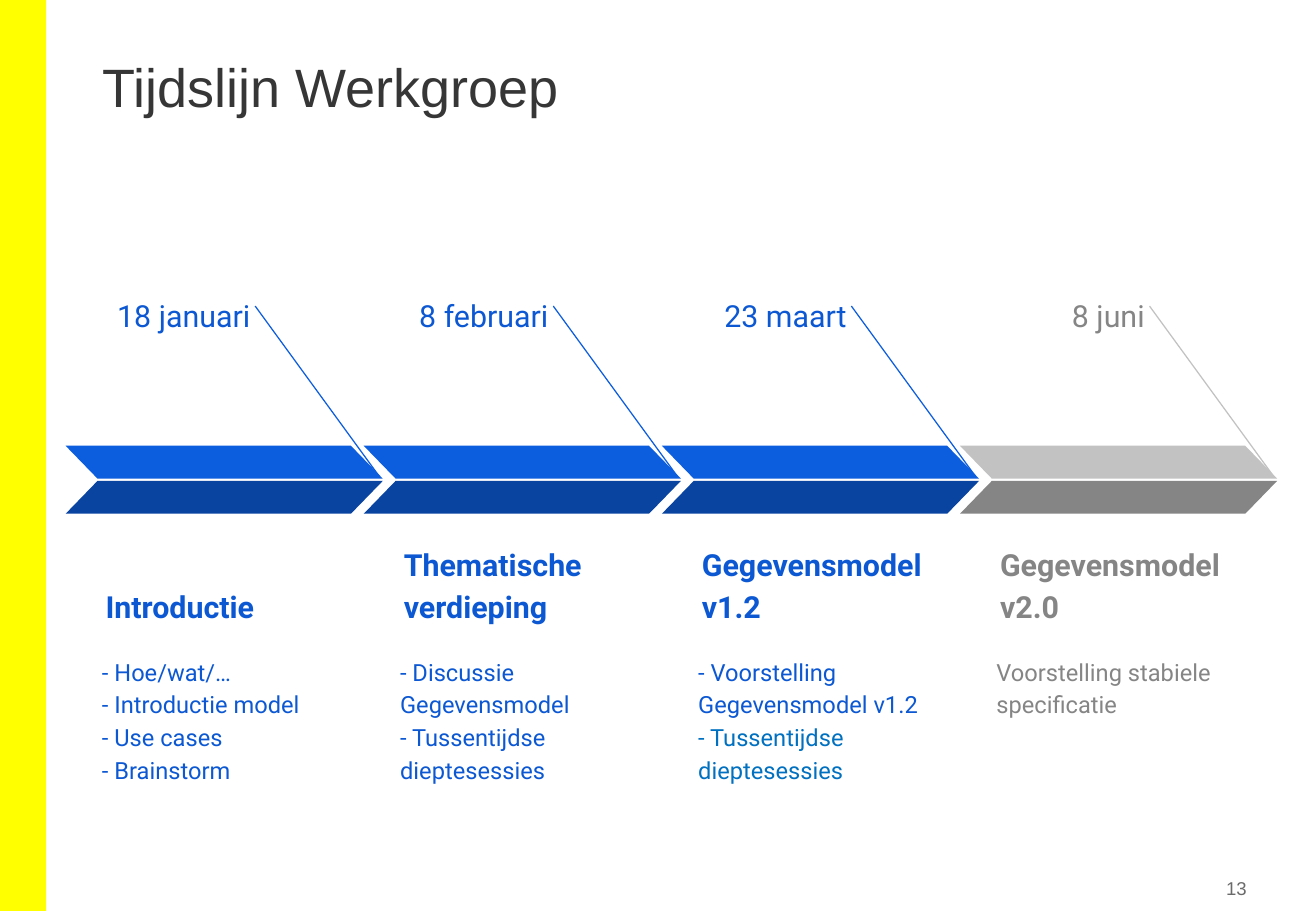
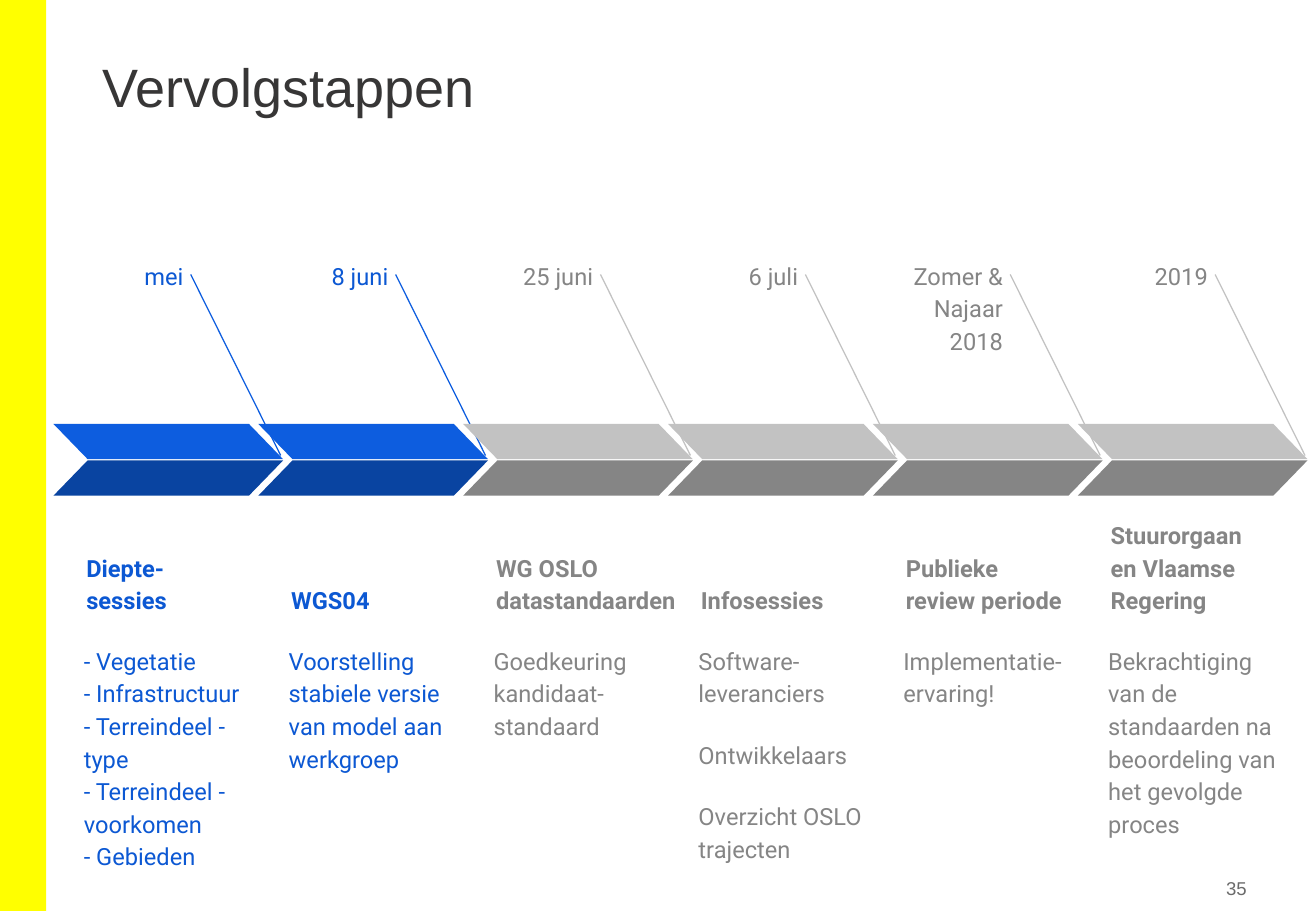
import pptx
import pptx.dml.color
import pptx.enum.shapes
import pptx.enum.text
import pptx.oxml.ns
import pptx.util
from lxml import etree

SHAPES = pptx.enum.shapes.MSO_SHAPE
ALIGN = pptx.enum.text.PP_ALIGN
ANCHOR = pptx.enum.text.MSO_ANCHOR
inches = pptx.util.Inches

WIDTH, HEIGHT = 10.83, 7.5
BLUE = {"text": "0C58D3", "upper": "0D5DDF", "lower": "0944A1"}
GRAY = {"text": "858585", "upper": "C2C2C2", "lower": "858585"}
STEP_TEXT = {"font": "Roboto", "inset": 0.11, "spacing": 1.15}
TITLE_TEXT = {"font": "Arial", "size": 32, "color": "373636", "inset": 0.1, "spacing": 0.9}
NUMBER_TEXT = {"font": "Arial", "size": 11, "color": "6B6B6B", "inset": 0.05,
               "align": ALIGN.RIGHT, "anchor": ANCHOR.MIDDLE}

SLIDES = [
    {
        "title": "Tijdslijn Werkgroep", "number": "13",
        "first": 0.54, "last": 7.9, "arrow_width": 2.61, "arrow_height": 0.27,
        "upper_top": 3.67, "lower_top": 3.96,
        "date": (0.18, 2.29, 1.45, 0.46),
        "heading": (0.22, 4.41, 2.14, 0.84),
        "body": (0.19, 5.27, 2.2, 1.39),
        "pointer": (1.56, 2.52, 2.58, 3.92),
        "large": 18,
        "steps": [
            {"date": "18 januari", "heading": ["Introductie"], "palette": BLUE,
             "body": ["- Hoe/wat/…", "- Introductie model", "- Use cases", "- Brainstorm"]},
            {"date": "8 februari", "heading": ["Thematische verdieping"], "palette": BLUE,
             "body": ["- Discussie Gegevensmodel", "- Tussentijdse dieptesessies"]},
            {"date": "23 maart", "heading": ["Gegevensmodel v1.2"], "palette": BLUE,
             "body": ["- Voorstelling Gegevensmodel v1.2",
                      ("- Tussentijdse dieptesessies", {"color": "0070C0"})]},
            {"date": "8 juni", "heading": ["Gegevensmodel v2.0"], "palette": GRAY,
             "body": ["Voorstelling stabiele specificatie"]},
        ],
    },
    {
        "title": "Vervolgstappen", "number": "35",
        "first": 0.44, "last": 8.87, "arrow_width": 1.89, "arrow_height": 0.29,
        "upper_top": 3.49, "lower_top": 3.79,
        "date": (0, 2.01, 1.18, 0.48),
        "heading": (0.16, 4.27, 1.55, 0.9),
        "body": (0.14, 5.18, 1.75, 1.48),
        "pointer": (1.13, 2.26, 1.87, 3.75),
        "large": 14,
        "steps": [
            {"date": "mei", "heading": ["Diepte-", "sessies"], "palette": BLUE,
             "body": ["- Vegetatie", "- Infrastructuur", "- Terreindeel - type",
                      "- Terreindeel - voorkomen", "- Gebieden"]},
            {"date": "8 juni", "heading": ["WGS04"], "palette": BLUE,
             "body": ["Voorstelling stabiele versie van model aan werkgroep"]},
            {"date": "25 juni", "heading": ["WG OSLO", "datastandaarden"], "palette": GRAY,
             "heading_width": 1.71,
             "body": ["Goedkeuring kandidaat-", "standaard"]},
            {"date": "6 juli", "heading": ["Infosessies"], "palette": GRAY,
             "body": ["Software-", "leveranciers", ("Ontwikkelaars", {"before": 17}),
                      ("Overzicht OSLO trajecten", {"before": 17})]},
            {"date": "Zomer & Najaar 2018", "heading": ["Publieke review periode"],
             "palette": GRAY, "body": ["Implementatie-", "ervaring!"]},
            {"date": "2019", "heading": ["Stuurorgaan en Vlaamse Regering"], "palette": GRAY,
             "body": ["Bekrachtiging van de standaarden na beoordeling van het gevolgde proces"]},
        ],
    },
]


def rgb(value):
    return pptx.dml.color.RGBColor.from_string(value)


def set_all(target, values):
    for name, value in values.items():
        setattr(target, name, value)


def write(shape, lines, style):
    frame = shape.text_frame
    set_all(frame, {
        "word_wrap": True,
        "auto_size": pptx.enum.text.MSO_AUTO_SIZE.NONE,
        "vertical_anchor": style.get("anchor", ANCHOR.TOP),
    })
    set_all(frame, {f"margin_{side}": inches(style["inset"])
                    for side in ("left", "top", "right", "bottom")})
    for index, line in enumerate(lines):
        text, changes = (line, {}) if isinstance(line, str) else line
        look = {**style, **changes}
        paragraph = frame.add_paragraph() if index else frame.paragraphs[0]
        set_all(paragraph, {
            "alignment": look.get("align", ALIGN.LEFT),
            "line_spacing": look.get("spacing", 1.0),
            "space_before": pptx.util.Pt(look.get("before", 0)),
        })
        run = paragraph.add_run()
        run.text = text
        set_all(run.font, {"name": look["font"], "size": pptx.util.Pt(look["size"]),
                           "bold": look.get("bold", False)})
        run.font.color.rgb = rgb(look["color"])


def add_text(shapes, box, lines, style):
    write(shapes.add_textbox(*map(inches, box)), lines, style)


def add_filled(shapes, kind, box, color):
    shape = shapes.add_shape(kind, *map(inches, box))
    shape.shadow.inherit = False
    shape.fill.solid()
    shape.fill.fore_color.rgb = rgb(color)
    shape.line.fill.background()
    return shape


def add_pointer(shapes, ends, color):
    pointer = shapes.add_connector(pptx.enum.shapes.MSO_CONNECTOR.STRAIGHT, *map(inches, ends))
    pointer.line.color.rgb = rgb(color)
    pointer.line.width = pptx.util.Pt(0.75)
    etree.SubElement(pointer._element.spPr, pptx.oxml.ns.qn("a:effectLst"))


def add_step(slide, timeline, step, left):
    shapes = slide.shapes.add_group_shape().shapes
    palette = step["palette"]
    styles = {
        "date": {"size": timeline["large"], "align": ALIGN.RIGHT},
        "heading": {"size": timeline["large"], "bold": True, "anchor": ANCHOR.BOTTOM},
        "body": {"size": 14},
    }
    for part, style in styles.items():
        offset, top, width, height = timeline[part]
        width = step.get(f"{part}_width", width)
        lines = [step[part]] if part == "date" else step[part]
        add_text(shapes, (left + offset, top, width, height), lines,
                 {**STEP_TEXT, "color": palette["text"], **style})
    start_x, start_y, end_x, end_y = timeline["pointer"]
    add_pointer(shapes, (left + start_x, start_y, left + end_x, end_y), palette["upper"])
    for half in ("upper", "lower"):
        box = (left, timeline[f"{half}_top"], timeline["arrow_width"], timeline["arrow_height"])
        arrow = add_filled(shapes, SHAPES.PARALLELOGRAM, box, palette[half])
        arrow.adjustments[0] = 0.97
        if half == "upper":
            arrow._element.spPr.xfrm.set("flipH", "1")


def add_timeline(presentation, layout, timeline):
    slide = presentation.slides.add_slide(layout)
    title = slide.shapes.title
    set_all(title, dict(zip(("left", "top", "width", "height"),
                            map(inches, (0.74, 0.4, 9.34, 1.08)))))
    write(title, [timeline["title"]], TITLE_TEXT)
    add_text(slide.shapes, (9.5, 7.17, 0.81, 0.29), [timeline["number"]], NUMBER_TEXT)
    steps = timeline["steps"]
    pitch = (timeline["last"] - timeline["first"]) / (len(steps) - 1)
    for index, step in enumerate(steps):
        add_step(slide, timeline, step, timeline["first"] + index * pitch)
    return slide


def main():
    presentation = pptx.Presentation()
    presentation.slide_width, presentation.slide_height = inches(WIDTH), inches(HEIGHT)
    layout = presentation.slide_layouts[5]
    slides = [add_timeline(presentation, layout, timeline) for timeline in SLIDES]
    band = add_filled(slides[0].shapes, SHAPES.RECTANGLE, (0, 0, 0.38, HEIGHT), "FFFF00")
    layout.shapes._spTree.insert(2, band._element)
    presentation.save("out.pptx")


if __name__ == "__main__":
    main()
